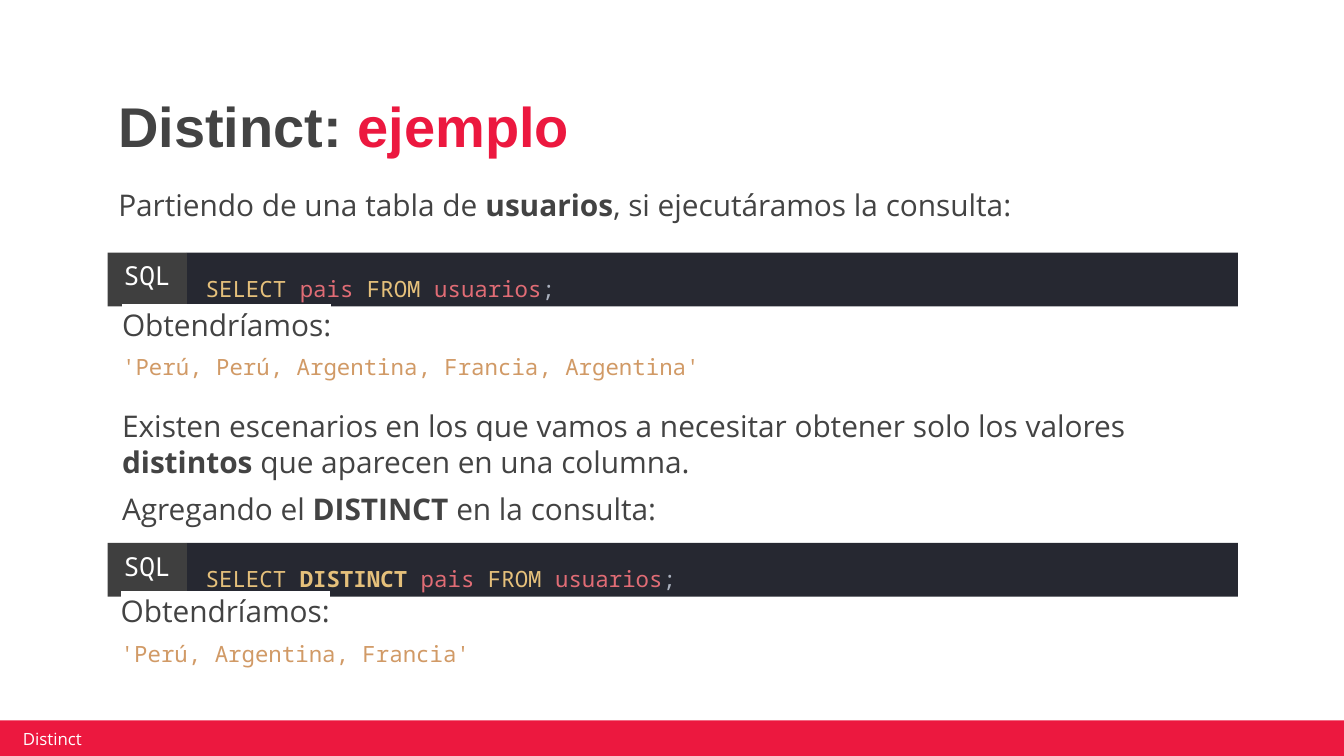
from lxml.etree import SubElement
from pptx import Presentation
from pptx.dml.color import RGBColor
from pptx.enum.shapes import MSO_SHAPE
from pptx.enum.text import MSO_ANCHOR, MSO_AUTO_SIZE, PP_ALIGN
from pptx.oxml.ns import qn
from pptx.util import Inches, Pt

WHITE = RGBColor(0xFF, 0xFF, 0xFF)
RED = RGBColor(0xEC, 0x18, 0x3F)
INK = RGBColor(0x43, 0x43, 0x43)
CODE_BACK = RGBColor(0x26, 0x28, 0x31)
LABEL_BACK = RGBColor(0x3F, 0x3F, 0x3F)
KEYWORD = RGBColor(0xE5, 0xC0, 0x7B)
IDENTIFIER = RGBColor(0xE0, 0x6C, 0x75)
PUNCTUATION = RGBColor(0xAB, 0xB2, 0xBF)
LITERAL = RGBColor(0xD1, 0x9A, 0x66)

TITLE = {"name": "Arial", "size": Pt(30), "bold": True}
PROSE = {"name": "Open Sans", "size": Pt(16), "bold": False}
STRONG = {**PROSE, "bold": True}
CODE = {"name": "Noto Sans Mono", "size": Pt(12), "bold": False}
STRONG_CODE = {**CODE, "bold": True}
LABEL = {**CODE, "size": Pt(14)}
FOOTER = {**PROSE, "size": Pt(9)}
PROSE_SPACING = {"space_before": Pt(6), "line_spacing": 1.0, "alignment": PP_ALIGN.LEFT}
BREAK_SPACING = {**PROSE_SPACING, "space_before": Pt(14.5)}


def apply(target, values):
    for attribute, value in values.items():
        setattr(target, attribute, value)


def set_frame(frame, anchor=MSO_ANCHOR.TOP, insets=(0.1, 0.1, 0.1, 0.1)):
    sides = ("margin_left", "margin_top", "margin_right", "margin_bottom")
    apply(frame, {"word_wrap": True, "auto_size": MSO_AUTO_SIZE.NONE,
                  "vertical_anchor": anchor,
                  **{side: Inches(inset) for side, inset in zip(sides, insets)}})


def add_run(paragraph, text, style, color, highlight=None):
    run = paragraph.add_run()
    run.text = text
    apply(run.font, style)
    run.font.color.rgb = color
    if highlight is not None:
        mark = SubElement(run.font._element, qn("a:highlight"))
        SubElement(mark, qn("a:srgbClr"), val=str(highlight))
        run.font._element.find(qn("a:solidFill")).addnext(mark)


def fill_text(frame, paragraphs):
    for position, (spacing, runs) in enumerate(paragraphs):
        paragraph = frame.add_paragraph() if position else frame.paragraphs[0]
        apply(paragraph, spacing)
        for run in runs:
            add_run(paragraph, *run)


def prose(text, style=PROSE):
    return text, style, INK, WHITE


def place(shape, left, top, width, height):
    apply(shape, {"left": Inches(left), "top": Inches(top),
                  "width": Inches(width), "height": Inches(height)})


def fill_placeholder(placeholder, box, anchor, paragraphs):
    place(placeholder, *box)
    set_frame(placeholder.text_frame, anchor)
    fill_text(placeholder.text_frame, paragraphs)


def remove_bullets(frame):
    for paragraph in frame.paragraphs:
        properties = paragraph._p.get_or_add_pPr()
        properties.set("marL", "0")
        properties.set("indent", "0")
        SubElement(properties, qn("a:buNone"))


def add_text(slide, box, paragraphs, **frame_values):
    text = slide.shapes.add_textbox(*map(Inches, box))
    set_frame(text.text_frame, **frame_values)
    fill_text(text.text_frame, paragraphs)


def add_panel(shapes, box, color):
    panel = shapes.add_shape(MSO_SHAPE.RECTANGLE, *map(Inches, box))
    panel.shadow.inherit = False
    panel.fill.solid()
    panel.fill.fore_color.rgb = color
    panel.line.fill.background()
    return panel


def add_query(slide, top, tokens):
    group = slide.shapes.add_group_shape()
    query = add_panel(group.shapes, (1.39, top, 7.82, 0.4), CODE_BACK)
    set_frame(query.text_frame, MSO_ANCHOR.MIDDLE, (0.14, 0.16, 0.1, 0.1))
    fill_text(query.text_frame,
              [({"line_spacing": 1.36, "alignment": PP_ALIGN.LEFT}, tokens)])
    label = add_panel(group.shapes, (0.8, top, 0.59, 0.4), LABEL_BACK)
    set_frame(label.text_frame, MSO_ANCHOR.MIDDLE, (0.1, 0.04, 0.1, 0.1))
    fill_text(label.text_frame,
              [({"alignment": PP_ALIGN.CENTER}, [("SQL", LABEL, WHITE)])])


def result(values):
    return [
        (PROSE_SPACING, [prose("Obtendríamos:")]),
        (PROSE_SPACING, [(values, CODE, LITERAL)]),
    ]


def add_footer(slide):
    add_panel(slide.shapes, (-0.02, 5.36, 10.03, 0.27), RED)
    add_text(slide, (0.12, 5.42, 2.39, 0.15),
             [({}, [("Distinct", FOOTER, WHITE)])],
             anchor=MSO_ANCHOR.MIDDLE, insets=(0.05, 0.02, 0.05, 0.02))


def main():
    presentation = Presentation()
    slide_width = Inches(10)
    apply(presentation, {"slide_width": slide_width,
                         "slide_height": slide_width * 9 // 16})
    slide = presentation.slides.add_slide(presentation.slide_layouts[1])
    add_footer(slide)

    heading, intro = slide.placeholders
    fill_placeholder(heading, (0.78, 0.6, 8.43, 0.69), MSO_ANCHOR.BOTTOM, [
        ({"line_spacing": 0.9, "alignment": PP_ALIGN.LEFT},
         [("Distinct: ", TITLE, INK), ("ejemplo", TITLE, RED)]),
    ])
    fill_placeholder(intro, (0.78, 1.29, 8.04, 0.74), MSO_ANCHOR.TOP, [
        (PROSE_SPACING, [prose("Partiendo de una tabla de "),
                         prose("usuarios", STRONG),
                         prose(", si ejecutáramos la consulta:")]),
    ])
    remove_bullets(intro.text_frame)

    select = ("SELECT ", CODE, KEYWORD)
    distinct = ("DISTINCT ", STRONG_CODE, KEYWORD)
    source = [("pais ", CODE, IDENTIFIER), ("FROM ", CODE, KEYWORD),
              ("usuarios", CODE, IDENTIFIER), (";", CODE, PUNCTUATION)]
    add_query(slide, 1.88, [select, *source])
    add_query(slide, 4.04, [select, distinct, *source])

    add_text(slide, (0.81, 2.18, 8.41, 1.46), [
        *result("'Perú, Perú, Argentina, Francia, Argentina'"),
        (BREAK_SPACING, [
            prose("Existen escenarios en los que vamos a necesitar obtener solo los valores "),
            prose("distintos", STRONG),
            prose(" que aparecen en una columna.")]),
        (PROSE_SPACING, [prose("Agregando el "), prose("DISTINCT", STRONG),
                         prose(" en la consulta:")]),
    ])
    add_text(slide, (0.8, 4.31, 6.98, 0.83), result("'Perú, Argentina, Francia'"))
    presentation.save("out.pptx")


if __name__ == "__main__":
    main()
